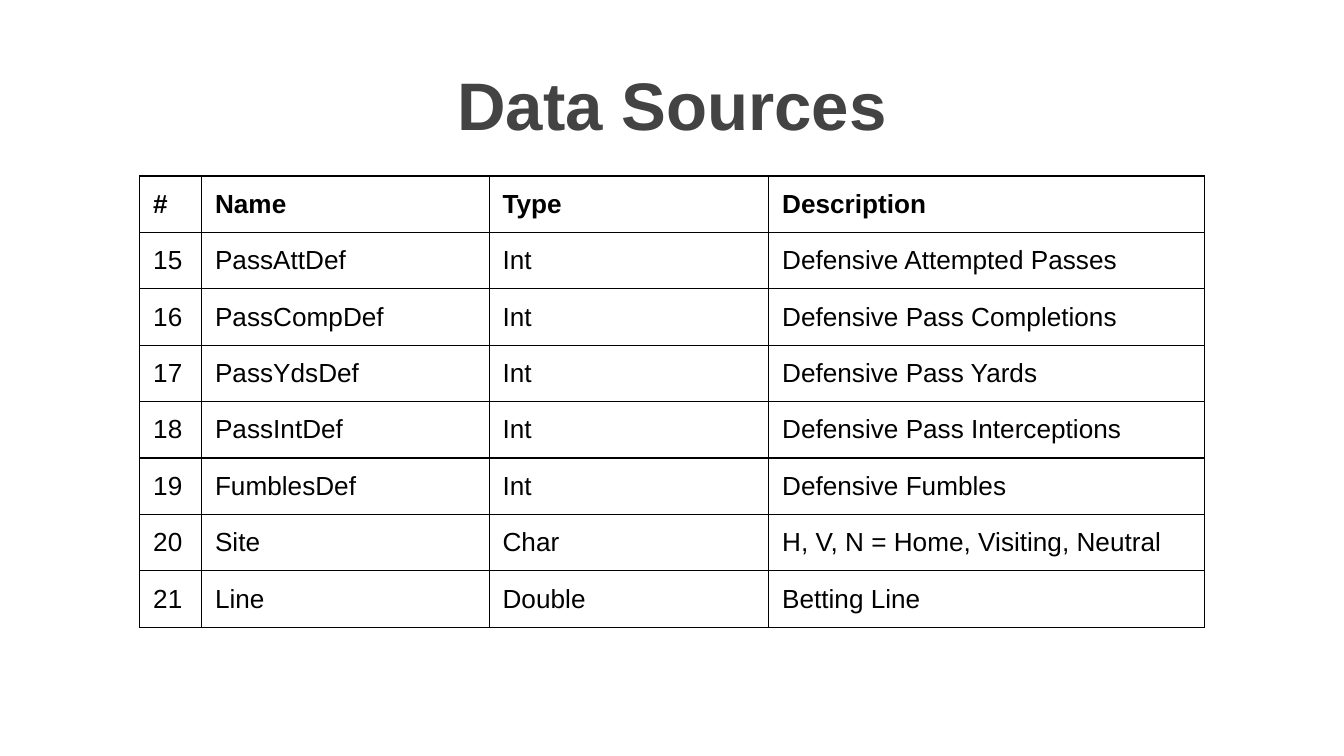
from lxml import etree
from pptx import Presentation
from pptx.dml.color import RGBColor
from pptx.enum.text import MSO_ANCHOR, PP_ALIGN
from pptx.oxml.ns import qn
from pptx.util import Inches, Pt

CENTER, LEFT = PP_ALIGN.CENTER, PP_ALIGN.LEFT
TOP, BOTTOM = MSO_ANCHOR.TOP, MSO_ANCHOR.BOTTOM

# Content
TITLE = "Data Sources"
HEADER = ("#", "Name", "Type", "Description")
FIRST_NUMBER = 15
FIELDS = [
    ("PassAttDef", "Int", "Defensive Attempted Passes"),
    ("PassCompDef", "Int", "Defensive Pass Completions"),
    ("PassYdsDef", "Int", "Defensive Pass Yards"),
    ("PassIntDef", "Int", "Defensive Pass Interceptions"),
    ("FumblesDef", "Int", "Defensive Fumbles"),
    ("Site", "Char", "H, V, N = Home, Visiting, Neutral"),
    ("Line", "Double", "Betting Line"),
]

# Layout in inches, on a 16:9 page
PAGE_WIDTH = 10
PAGE_HEIGHT = PAGE_WIDTH * 9 / 16
TITLE_BOX = {"left": 0.5, "top": 0.23, "width": 9, "height": 0.94}
COLUMNS = (0.46, 2.14, 2.08, 3.24)
TABLE_TOP, ROW_HEIGHT = 1.31, 0.42
MARGIN = 0.1
BORDER_COLOR, BORDER_WIDTH = "000000", 0.75

TITLE_FONT = {"name": "Arial", "size": Pt(36), "bold": True}
CELL_FONT = {"name": "Arial", "size": Pt(14)}


def color(value):
    return RGBColor.from_string(value)


def set_all(target, values):
    for name, value in values.items():
        setattr(target, name, value)


def write(para, text, font, text_color, align):
    para.alignment = align
    span = para.add_run()
    span.text = text
    set_all(span.font, font)
    span.font.color.rgb = color(text_color)


def margins():
    return {"margin_" + side: Inches(MARGIN) for side in ("left", "right", "top", "bottom")}


def add_borders(cell):
    properties = cell._tc.get_or_add_tcPr()
    for side in ("lnL", "lnR", "lnT", "lnB"):
        line = etree.SubElement(properties, qn("a:" + side), w=str(Pt(BORDER_WIDTH)))
        fill = etree.SubElement(line, qn("a:solidFill"))
        etree.SubElement(fill, qn("a:srgbClr"), val=BORDER_COLOR)


deck = Presentation()
deck.slide_width, deck.slide_height = Inches(PAGE_WIDTH), Inches(PAGE_HEIGHT)
page = deck.slides.add_slide(deck.slide_layouts.get_by_name("Title Only"))

# Title
title = page.shapes.title
set_all(title, {side: Inches(length) for side, length in TITLE_BOX.items()})
set_all(title.text_frame, {"vertical_anchor": BOTTOM, "word_wrap": True, **margins()})
write(title.text_frame.paragraphs[0], TITLE, TITLE_FONT, "434343", CENTER)

# Table, centred across the page
rows = [HEADER] + [(str(number), *field) for number, field in enumerate(FIELDS, FIRST_NUMBER)]
table_width = sum(COLUMNS)
table = page.shapes.add_table(
    len(rows), len(COLUMNS),
    Inches((PAGE_WIDTH - table_width) / 2), Inches(TABLE_TOP),
    Inches(table_width), Inches(ROW_HEIGHT * len(rows)),
).table
set_all(table, {"first_row": False, "horz_banding": False})
for column, width in zip(table.columns, COLUMNS):
    column.width = Inches(width)

for row_index, values in enumerate(rows):
    table.rows[row_index].height = Inches(ROW_HEIGHT)
    font = {**CELL_FONT, "bold": row_index == 0}
    for column_index, text in enumerate(values):
        cell = table.cell(row_index, column_index)
        set_all(cell, {"vertical_anchor": TOP, **margins()})
        add_borders(cell)
        cell.fill.background()
        write(cell.text_frame.paragraphs[0], text, font, "000000", LEFT)

deck.save("out.pptx")
